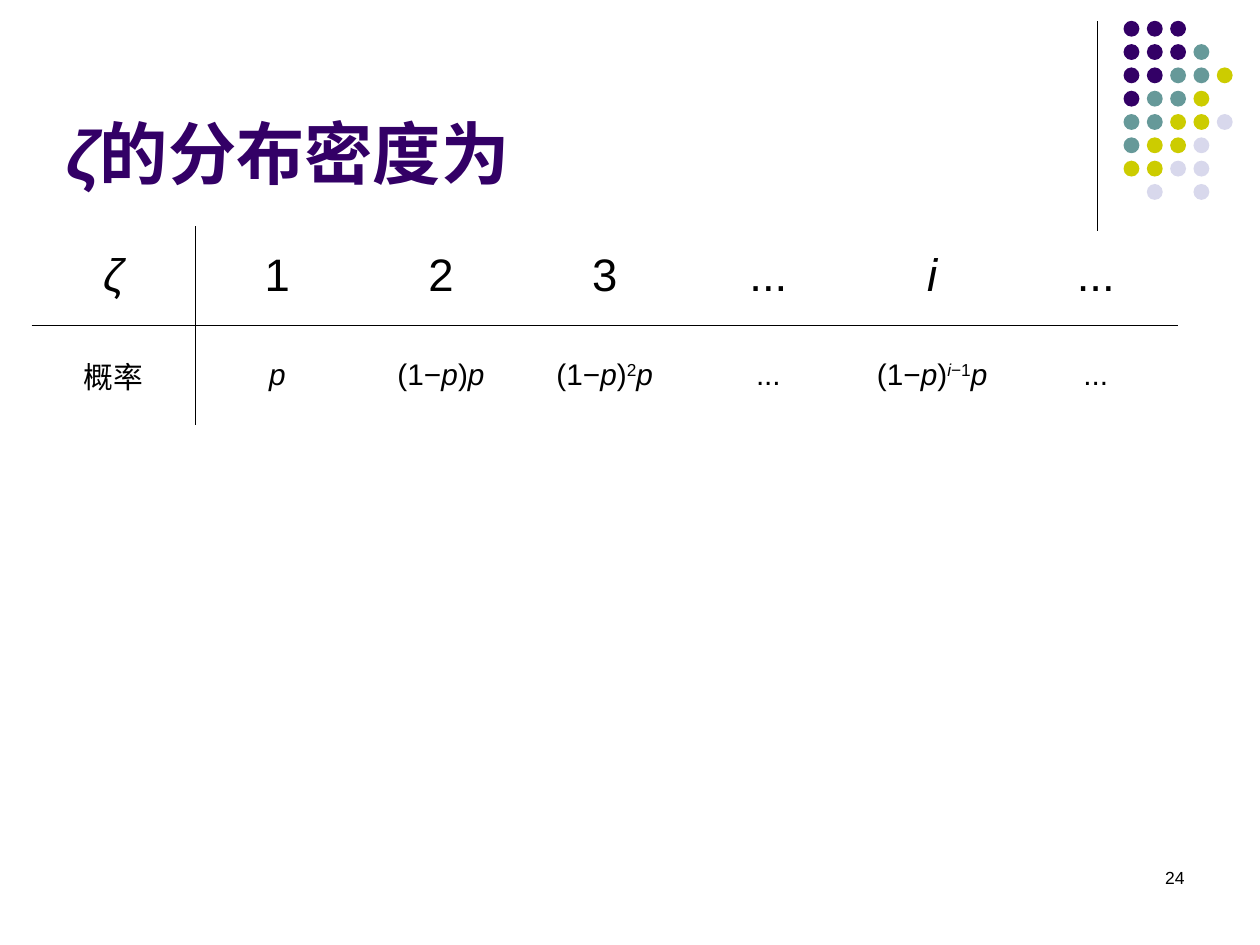
"""Slide with the distribution table of a geometric random variable."""
from pptx import Presentation
from pptx.dml.color import RGBColor
from pptx.enum import shapes, text
from pptx.oxml.ns import qn
from pptx.util import Cm, Pt
from lxml import etree

BLACK = RGBColor(0x00, 0x00, 0x00)
PURPLE = RGBColor(0x33, 0x00, 0x66)
TEAL = RGBColor(0x66, 0x99, 0x99)
OLIVE = RGBColor(0xCC, 0xCC, 0x00)
LAVENDER = RGBColor(0xD8, 0xD8, 0xEC)

DOT_COLORS = {"P": PURPLE, "T": TEAL, "O": OLIVE, "L": LAVENDER}
DOT_ROWS = ["PPP", "PPPT", "PPTTO", "PTTO", "TTOOL", "TOOL", "OOLL", ".L.L"]

ITALIC, SUPER = "i", "^"
P = ("p", ITALIC)
FAILURE = [("(1−", ""), P, (")", "")]
VALUES = [[("ζ", ITALIC)], [("1", "")], [("2", "")], [("3", "")],
          [("...", "")], [("i", ITALIC)], [("...", "")]]
PROBABILITIES = [[("概率", "")], [P], FAILURE + [P],
                 FAILURE + [("2", SUPER), P], [("...", "")],
                 FAILURE + [("i", ITALIC + SUPER), ("−1", SUPER), P],
                 [("...", "")]]


def add_runs(p, runs, size, color=BLACK, bold=False):
    for content, style in runs:
        r = p.add_run()
        r.text = content
        r.font.name = "Arial"
        r.font.size = Pt(size)
        r.font.bold = bold
        r.font.italic = ITALIC in style
        r.font.color.rgb = color
        if SUPER in style:
            r.font._element.set("baseline", "30000")


def add_text(s, left, top, width, height, runs, size, align, anchor, **font):
    tf = s.shapes.add_textbox(Cm(left), Cm(top), Cm(width), Cm(height)).text_frame
    tf.word_wrap = True
    tf.vertical_anchor = anchor
    p = tf.paragraphs[0]
    p.alignment = align
    add_runs(p, runs, size, **font)


def add_rule(s, x, top, bottom):
    line = s.shapes.add_connector(shapes.MSO_CONNECTOR.STRAIGHT,
                                  Cm(x), Cm(top), Cm(x), Cm(bottom))
    line.line.color.rgb = BLACK
    line.line.width = Pt(0.75)
    etree.SubElement(line._element.spPr, qn("a:effectLst"))


def add_dots(s, left, top, pitch, size):
    for i, row in enumerate(DOT_ROWS):
        for j, key in enumerate(row):
            if key not in DOT_COLORS:
                continue
            sp = s.shapes.add_shape(shapes.MSO_SHAPE.OVAL, Cm(left + j * pitch),
                                    Cm(top + i * pitch), Cm(size), Cm(size))
            sp.shadow.inherit = False
            sp.fill.solid()
            sp.fill.fore_color.rgb = DOT_COLORS[key]
            sp.line.fill.background()


def set_borders(cell, visible):
    tcPr = cell._tc.get_or_add_tcPr()
    for side in "LRTB":
        ln = etree.SubElement(tcPr, qn(f"a:ln{side}"), w=str(Pt(0.45)))
        if side in visible:
            fill = etree.SubElement(ln, qn("a:solidFill"))
            etree.SubElement(fill, qn("a:srgbClr"), val=str(BLACK))
        else:
            etree.SubElement(ln, qn("a:noFill"))


def add_distribution(s, left, top, col_width, row_height):
    rows = [(VALUES, 26, "B"), (PROBABILITIES, 17, "T")]
    n = len(VALUES)
    table = s.shapes.add_table(len(rows), n, Cm(left), Cm(top), Cm(col_width * n),
                               Cm(row_height * len(rows))).table
    table.first_row = table.horz_banding = False
    for col in table.columns:
        col.width = Cm(col_width)
    for i, (cells, size, inner) in enumerate(rows):
        table.rows[i].height = Cm(row_height)
        for j, runs in enumerate(cells):
            cell = table.cell(i, j)
            cell.vertical_anchor = text.MSO_ANCHOR.MIDDLE
            set_borders(cell, inner + {0: "R", 1: "L"}.get(j, ""))
            cell.fill.background()
            p = cell.text_frame.paragraphs[0]
            p.alignment = text.PP_ALIGN.CENTER
            add_runs(p, runs, size)


def main():
    prs = Presentation()
    prs.slide_width, prs.slide_height = Cm(25.4), Cm(19.05)
    s = prs.slides.add_slide(prs.slide_layouts[6])
    add_rule(s, 22.12, 0.43, 4.65)
    add_dots(s, 22.65, 0.42, 0.47, 0.32)
    add_text(s, 18.21, 17.35, 5.92, 1.27, [("24", "")], 10,
             text.PP_ALIGN.RIGHT, text.MSO_ANCHOR.TOP)
    add_text(s, 1.09, 1.68, 22.45, 2.34, [("ζ", ITALIC), ("的分布密度为", "")], 39,
             text.PP_ALIGN.LEFT, text.MSO_ANCHOR.BOTTOM, color=PURPLE, bold=True)
    add_distribution(s, 0.64, 4.56, 3.3, 2)
    prs.save("out.pptx")


if __name__ == "__main__":
    main()
